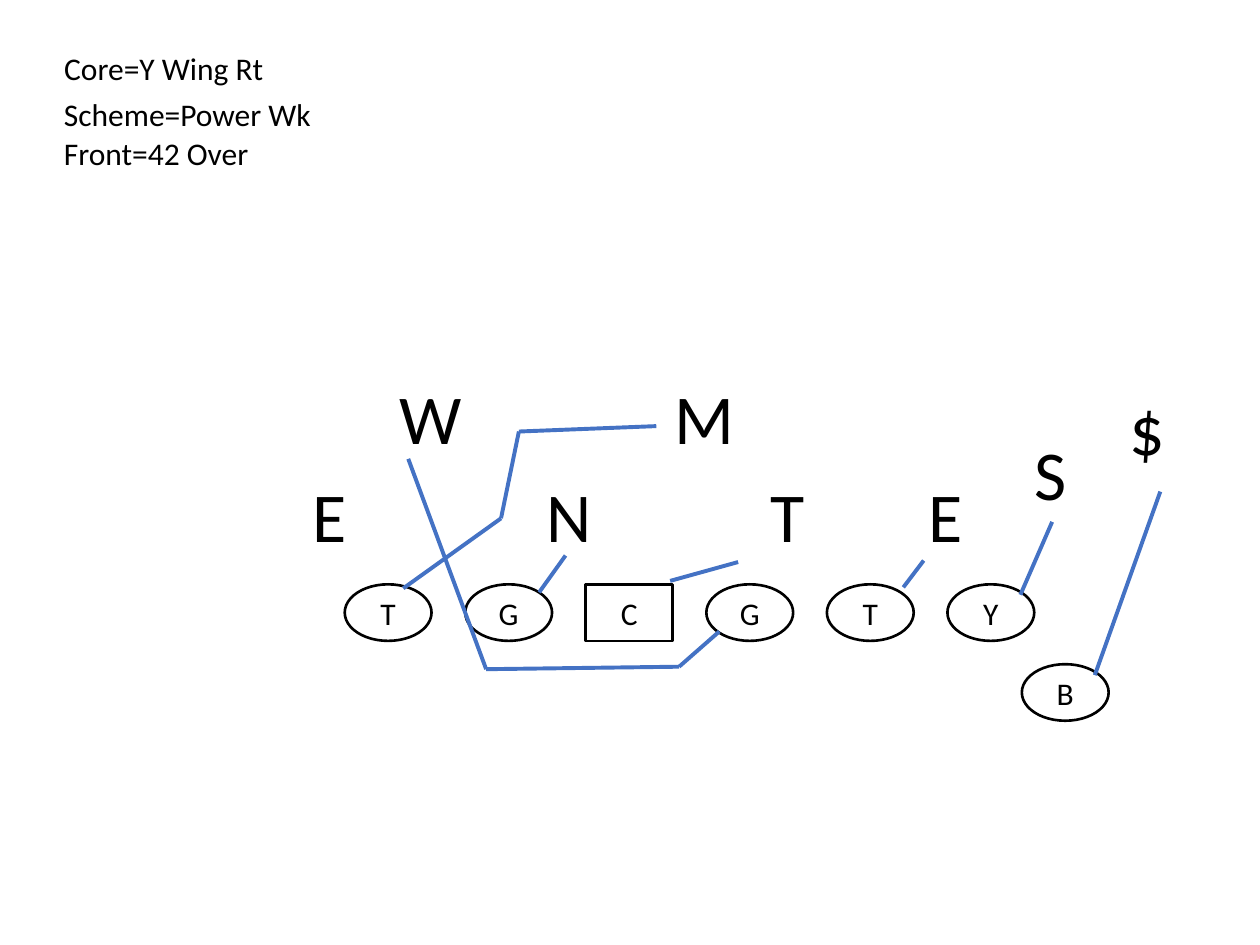
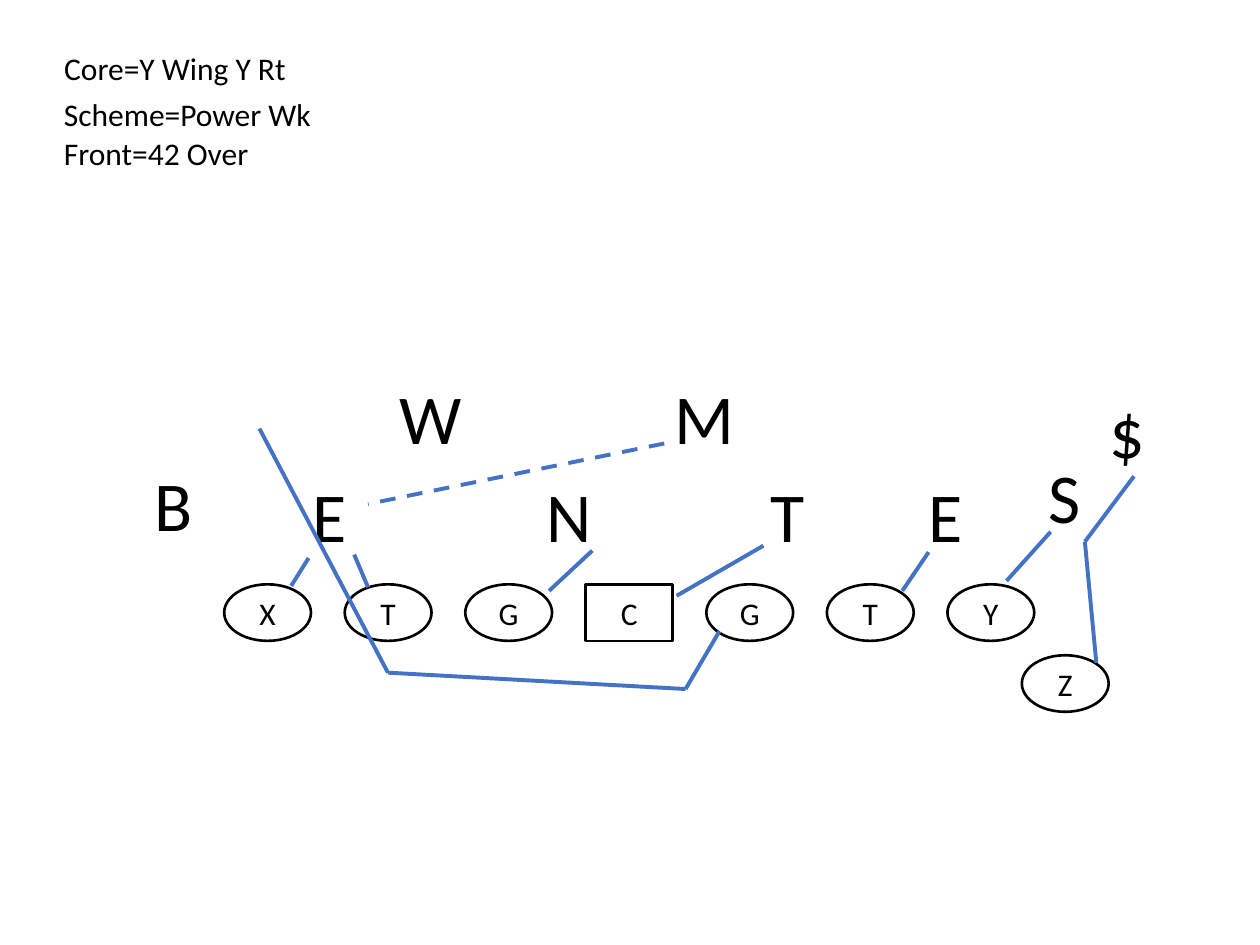
"""Two football blocking diagrams: a power scheme against a 42 Over front."""
from itertools import pairwise
from pptx import Presentation
from pptx.dml.color import RGBColor
from pptx.enum.dml import MSO_LINE as Dash
from pptx.enum.shapes import MSO_CONNECTOR as Link, MSO_SHAPE as Form
from pptx.enum.text import MSO_ANCHOR as Anchor, MSO_AUTO_SIZE as Fit, PP_ALIGN as Align
from pptx.oxml.ns import qn
from pptx.util import Cm, Pt

BLACK = RGBColor(0, 0, 0)
WHITE = RGBColor(255, 255, 255)
BLUE = RGBColor(0x44, 0x72, 0xC4)

SMALL = {"name": "Calibri", "size": Pt(18)}
LARGE = {"name": "Calibri", "size": Pt(40)}

FIRST, STEP, ROW = 4.52, 2.43, 11.78
WIDE, HIGH = 1.75, 1.14
EDGE = 1.04

NOTES = [("Scheme=Power Wk", 1.8, 5.54), ("Front=42 Over", 2.57, 4.42)]
FRONT = [
    ("N", 10.77, 9.4, 1.42), ("T", 15.29, 9.4, 1.22),
    ("E", 18.47, 9.4, 1.22), ("E", 6.05, 9.4, 1.22),
    ("W", 7.8, 7.42, 1.78), ("M", 13.34, 7.42, 1.78),
]

PLAYS = [
    {
        "title": ("Core=Y Wing Rt", 4.57),
        "line": " TGCGTY",
        "wing": ("B", 20.6, 13.39),
        "front": [("S", 20.6, 8.56, 1.22), ("$", 22.53, 7.65, 1.24)],
        "blocks": [
            [(10.87, 11.94), (11.4, 11.2)],
            [(13.51, 11.71), (14.88, 11.33)],
            [(18.62, 11.3), (18.21, 11.84)],
            [(20.57, 11.99), (21.21, 10.52)],
            [(22.07, 13.61), (23.39, 9.91)],
            [(8.13, 11.86), (10.1, 10.45), (10.46, 8.7), (13.23, 8.59)],
            [(14.5, 12.73), (13.69, 13.44), (9.8, 13.49), (8.23, 9.25)],
        ],
        "dashed": [],
    },
    {
        "title": ("Core=Y Wing Y Rt", 5.03),
        "line": "XTGCGTY",
        "wing": ("Z", 20.6, 13.21),
        "front": [("S", 20.88, 9.02, 1.22), ("$", 22.12, 7.7, 1.24),
                  ("B", 2.87, 9.17, 1.3)],
        "blocks": [
            [(21.18, 10.72), (20.29, 11.71)],
            [(22.1, 13.36), (21.87, 10.92), (22.86, 9.6)],
            [(18.72, 11.13), (18.19, 11.91)],
            [(15.39, 11), (13.64, 12.01)],
            [(11.94, 11.1), (11.07, 11.91)],
            [(6.22, 11.25), (5.87, 11.81)],
            [(7.14, 11.18), (7.42, 11.84)],
            [(14.5, 12.73), (13.82, 13.89), (7.82, 13.56), (5.23, 8.64)],
        ],
        "dashed": [[(13.39, 8.94), (7.42, 10.16)]],
    },
]


def put(item, values):
    for key, value in values.items():
        setattr(item, key, value)


def write(shape, text, font, align=Align.LEFT, **frame):
    body = shape.text_frame
    body.text = text
    put(body, frame)
    para = body.paragraphs[0]
    para.alignment = align
    put(para.font, font)
    para.font.color.rgb = BLACK


def label(shape, text, font):
    write(shape, text, font, word_wrap=False, vertical_anchor=Anchor.TOP,
          auto_size=Fit.SHAPE_TO_FIT_TEXT)


def note(slide, text, left, top, width, height, font):
    box = slide.shapes.add_textbox(Cm(left), Cm(top), Cm(width), Cm(height))
    label(box, text, font)


def player(slide, text, left, top):
    form = Form.RECTANGLE if text == "C" else Form.OVAL
    shape = slide.shapes.add_shape(form, Cm(left), Cm(top), Cm(WIDE), Cm(HIGH))
    shape.shadow.inherit = False
    shape.fill.solid()
    shape.fill.fore_color.rgb = WHITE
    shape.line.color.rgb = BLACK
    shape.line.width = Pt(1.5)
    write(shape, text, SMALL, Align.CENTER, vertical_anchor=Anchor.MIDDLE)


def route(slide, points, dash=None):
    for start, end in pairwise(points):
        line = slide.shapes.add_connector(
            Link.STRAIGHT, *(Cm(n) for n in start + end))
        line.line.color.rgb = BLUE
        line.line.width = Pt(2.25)
        if dash:
            line.line.dash_style = dash
        props = line._element.spPr
        props.append(props.makeelement(qn("a:effectLst"), {}))


def draw(deck, play):
    slide = deck.slides.add_slide(deck.slide_layouts[5])
    text, width = play["title"]
    title = slide.shapes.title
    put(title, {"left": Cm(EDGE), "top": Cm(0.86),
                "width": Cm(width), "height": Cm(1.02)})
    label(title, text, SMALL)
    for text, top, width in NOTES:
        note(slide, text, EDGE, top, width, 1.02, SMALL)
    for spot, text in enumerate(play["line"]):
        if text.strip():
            player(slide, text, FIRST + STEP * spot, ROW)
    player(slide, *play["wing"])
    for text, left, top, width in FRONT + play["front"]:
        note(slide, text, left, top, width, 1.96, LARGE)
    for points in play["blocks"]:
        route(slide, points)
    for points in play["dashed"]:
        route(slide, points, Dash.DASH)


deck = Presentation()
deck.slide_width, deck.slide_height = Cm(25.4), Cm(19.05)
for play in PLAYS:
    draw(deck, play)
deck.save("out.pptx")
